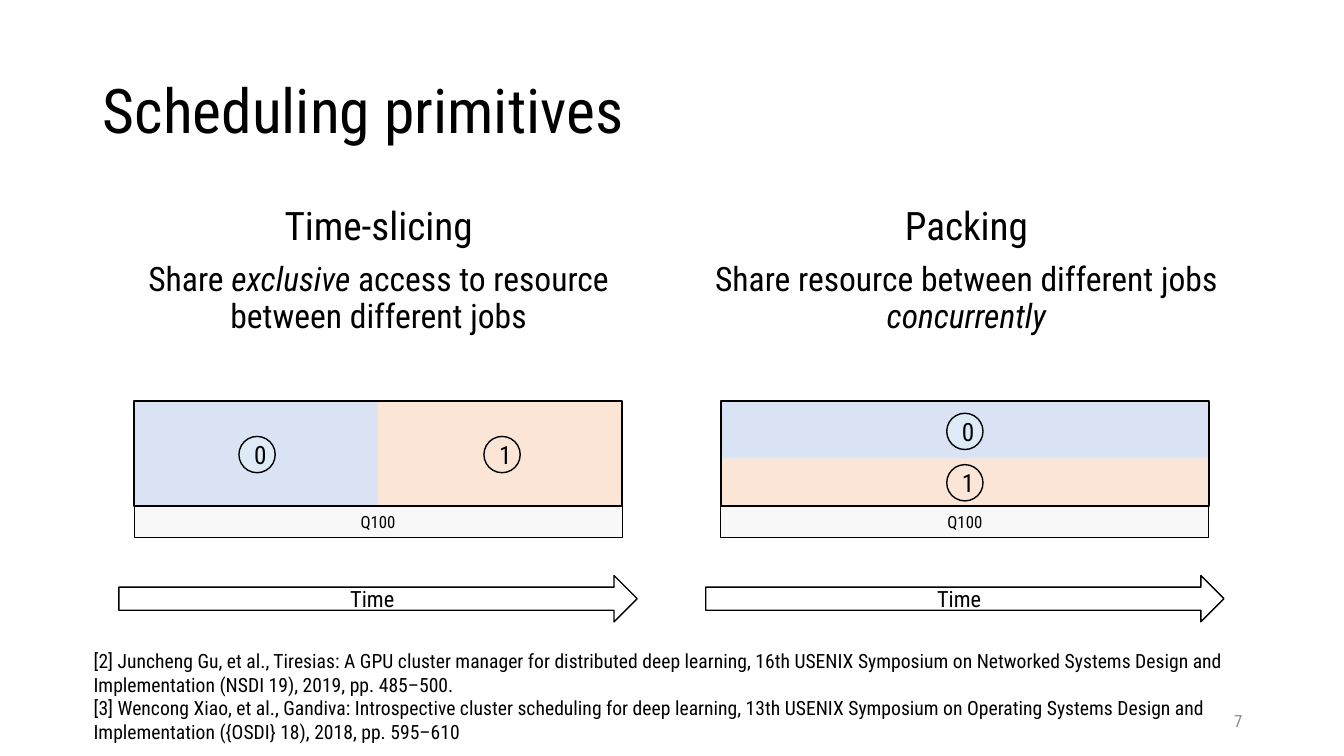
from pptx import Presentation
from pptx.dml.color import RGBColor
from pptx.enum.shapes import MSO_SHAPE
from pptx.enum.text import MSO_ANCHOR, PP_ALIGN
from pptx.util import Pt

PX = 9144
FONT = "Roboto Condensed"
COLORS = {
    "black": "000000",
    "white": "FFFFFF",
    "gray": "8C8C8C",
    "device": "F8F8F8",
    "job0": "DAE3F3",
    "job1": "FBE5D6",
    "badge0": "DEEBF7",
    "badge1": "FBE5D6",
}
REFERENCES = [
    "[2] Juncheng Gu, et al., Tiresias: A GPU cluster manager for distributed deep learning, "
    "16th USENIX Symposium on Networked Systems Design and Implementation (NSDI 19), 2019, pp. 485–500.",
    "[3] Wencong Xiao, et al., Gandiva: Introspective cluster scheduling for deep learning, "
    "13th USENIX Symposium on Operating Systems Design and Implementation ({OSDI} 18), 2018, pp. 595–610",
]


def color(name):
    return RGBColor.from_string(COLORS[name])


def emu(box):
    return [v * PX for v in box]


def style(p, size, align=PP_ALIGN.LEFT, name="black"):
    p.alignment = align
    p.font.name = FONT
    p.font.size = Pt(size)
    p.font.color.rgb = color(name)


def add_text(s, box, paragraphs, align=PP_ALIGN.LEFT, anchor=MSO_ANCHOR.TOP,
             name="black", spacing=None, before=0):
    tf = s.shapes.add_textbox(*emu(box)).text_frame
    tf.word_wrap = True
    tf.vertical_anchor = anchor
    for i, (size, runs) in enumerate(paragraphs):
        p = tf.add_paragraph() if i else tf.paragraphs[0]
        style(p, size, align, name)
        if spacing:
            p.line_spacing = spacing
        if i:
            p.space_before = Pt(before)
        for text, italic in runs:
            r = p.add_run()
            r.text = text
            if italic:
                r.font.italic = True


def add_shape(s, kind, box, fill=None, line=None, text="", size=18, anchor=MSO_ANCHOR.MIDDLE):
    sp = s.shapes.add_shape(kind, *emu(box))
    sp.shadow.inherit = False
    if fill:
        sp.fill.solid()
        sp.fill.fore_color.rgb = color(fill)
    else:
        sp.fill.background()
    if line:
        sp.line.color.rgb = color("black")
        sp.line.width = Pt(line)
    else:
        sp.line.fill.background()
    if text:
        tf = sp.text_frame
        tf.vertical_anchor = anchor
        p = tf.paragraphs[0]
        p.text = text
        style(p, size, PP_ALIGN.CENTER)


def add_badge(s, x, y, job):
    add_shape(s, MSO_SHAPE.OVAL, (x, y, 36, 36), f"badge{job}", 1, str(job))


def add_timeline(s, x, jobs, badges):
    add_shape(s, MSO_SHAPE.RIGHT_ARROW, (x - 15, 571, 514, 46), "white", 1, "Time", 16)
    add_shape(s, MSO_SHAPE.RECTANGLE, (x, 503, 484, 30), "device", 0.75, "Q100", 12, MSO_ANCHOR.TOP)
    for job, box in enumerate(jobs):
        add_shape(s, MSO_SHAPE.RECTANGLE, box, f"job{job}")
    add_shape(s, MSO_SHAPE.RECTANGLE, (x, 398, 484, 104), None, 1)
    for job, (left, top) in enumerate(badges):
        add_badge(s, left, top, job)


def add_primitive(s, x, heading, runs):
    add_text(s, (x, 200, 567, 148), [(28, [(heading, False)]), (24, runs)],
             PP_ALIGN.CENTER, spacing=0.9, before=10)


def main():
    prs = Presentation()
    prs.slide_width, prs.slide_height = emu((1333, 750))
    s = prs.slides.add_slide(prs.slide_layouts[6])

    add_text(s, (92, 40, 1150, 145), [(44, [("Scheduling primitives", False)])],
             anchor=MSO_ANCHOR.MIDDLE, spacing=0.9)
    add_primitive(s, 92, "Time-slicing", [
        ("Share ", False), ("exclusive", True),
        (" access to resource between different jobs", False)])
    add_primitive(s, 675, "Packing", [
        ("Share resource between different jobs ", False), ("concurrently", True)])

    add_timeline(s, 133, [(134, 399, 241, 103), (375, 399, 241, 103)], [(237, 433), (480, 433)])
    add_timeline(s, 715, [(715, 399, 484, 56), (715, 455, 484, 48)], [(939, 410), (939, 461)])

    add_text(s, (942, 695, 300, 40), [(12, [("7", False)])],
             PP_ALIGN.RIGHT, MSO_ANCHOR.MIDDLE, "gray")
    add_text(s, (83, 639, 1201, 104), [(14, [(ref, False)]) for ref in REFERENCES])
    prs.save("out.pptx")


if __name__ == "__main__":
    main()
